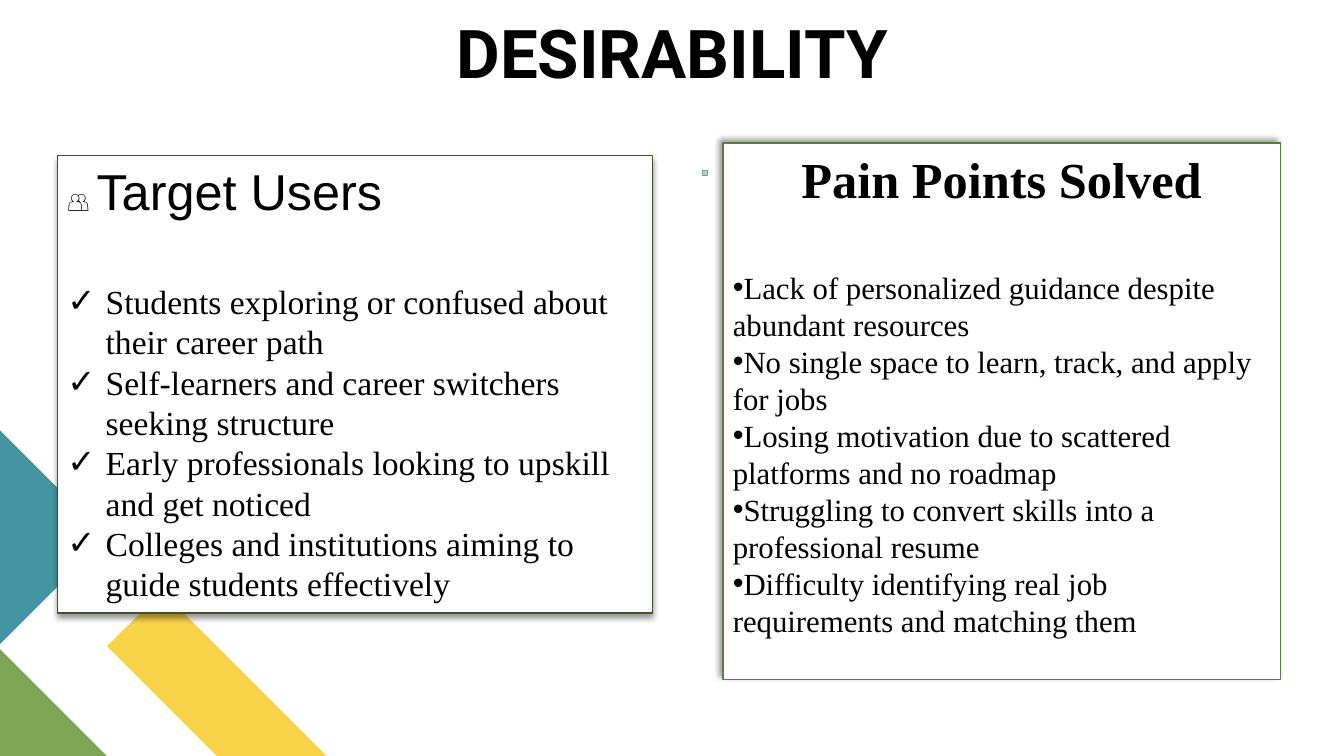
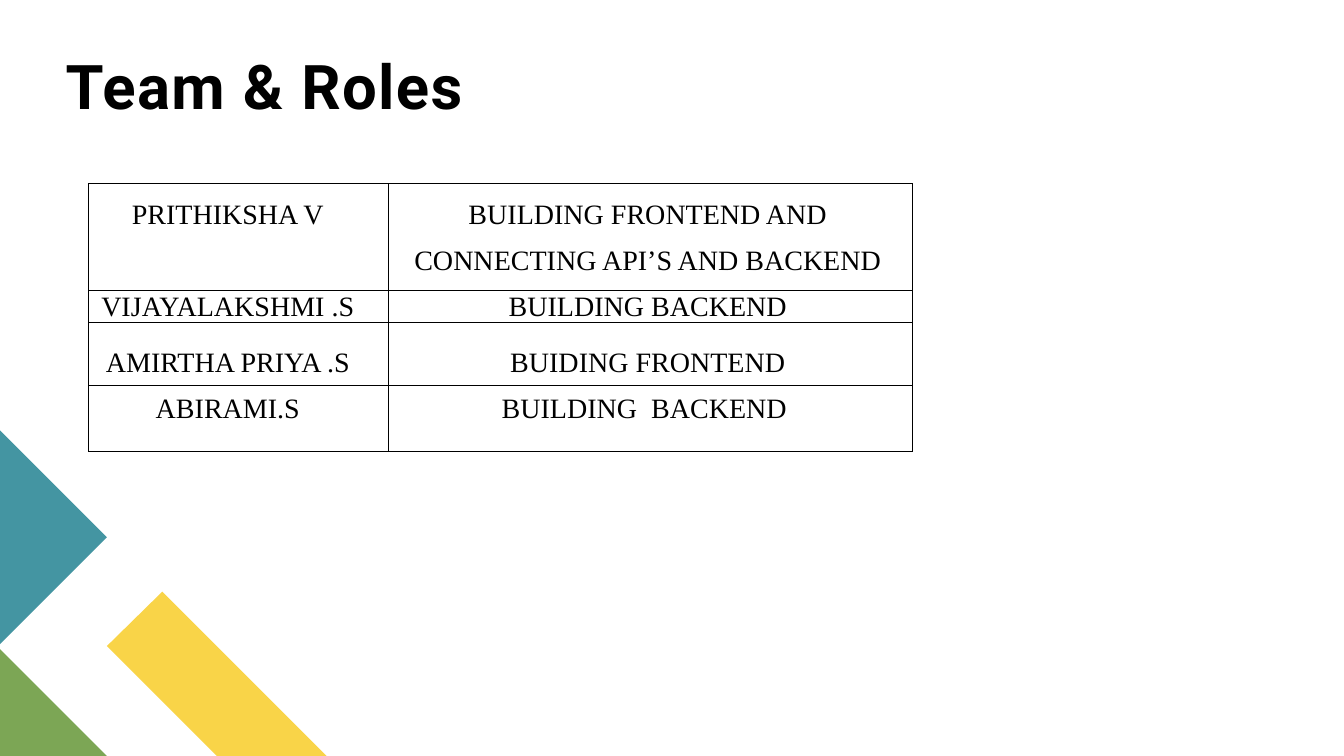
from lxml import etree
from pptx import Presentation
from pptx.dml.color import RGBColor
from pptx.enum.shapes import MSO_SHAPE
from pptx.enum.text import MSO_ANCHOR, PP_ALIGN
from pptx.oxml.ns import qn
from pptx.util import Inches, Pt

LEFT, CENTER = PP_ALIGN.LEFT, PP_ALIGN.CENTER
TOP, MIDDLE, BOTTOM = MSO_ANCHOR.TOP, MSO_ANCHOR.MIDDLE, MSO_ANCHOR.BOTTOM
RECTANGLE = MSO_SHAPE.RECTANGLE

BLACK = RGBColor(0x00, 0x00, 0x00)
WHITE = RGBColor(0xFF, 0xFF, 0xFF)
YELLOW = RGBColor(0xF9, 0xD4, 0x48)
GREEN = RGBColor(0x7C, 0xA6, 0x55)
TEAL = RGBColor(0x44, 0x95, 0xA2)
DARK_GREEN = RGBColor(0x3E, 0x53, 0x2A)
MID_GREEN = RGBColor(0x5D, 0x7D, 0x40)
PALE_TEAL = RGBColor(0xA9, 0xD4, 0xDB)
GREY_TEAL = RGBColor(0x7D, 0x9D, 0xA2)

TITLE_FONT, SANS, SERIF = "Roboto", "Arial", "Times New Roman"

CORNER_SHAPES = [
    (YELLOW, [(3.24, 7.5), (2.15, 7.5), (1.06, 6.41), (1.61, 5.87)]),
    (GREEN, [(1.06, 7.5), (0, 7.5), (0, 6.44)]),
    (TEAL, [(0, 4.27), (1.06, 5.33), (0, 6.39)]),
]


class SlideBuilder:
    """Holds the shared style and the current slide, and draws its elements."""

    def __init__(self):
        self.deck = Presentation()
        self.deck.slide_width, self.deck.slide_height = Inches(13.33), Inches(7.5)
        self.page = None

    def new_page(self):
        self.page = self.deck.slides.add_slide(self.deck.slide_layouts[5])
        for color, points in CORNER_SHAPES:
            corners = [(Inches(x), Inches(y)) for x, y in points]
            builder = self.page.shapes.build_freeform(*corners[0])
            builder.add_line_segments(corners[1:], close=True)
            shape = builder.convert_to_shape()
            shape.shadow.inherit = False
            shape.fill.solid()
            shape.fill.fore_color.rgb = color
            shape.line.fill.background()

    def span(self, para, text, size, font=SERIF, bold=False):
        run = para.add_run()
        run.text = text
        run.font.size, run.font.name, run.font.bold = Pt(size), font, bold
        run.font.color.rgb = BLACK
        return run

    def title(self, text, bounds, size, align, anchor, line_spacing=1.0, tracking=0):
        box = self.page.shapes.title
        box.left, box.top, box.width, box.height = map(Inches, bounds)
        frame = box.text_frame
        frame.margin_left = frame.margin_right = frame.margin_top = frame.margin_bottom = 0
        frame.word_wrap, frame.vertical_anchor = True, anchor
        para = frame.paragraphs[0]
        para.alignment, para.line_spacing = align, line_spacing
        run = self.span(para, text, size, TITLE_FONT, True)
        run.font._element.set("spc", str(tracking * 100))

    def rectangle(self, bounds, fill, line):
        box = self.page.shapes.add_shape(RECTANGLE, *map(Inches, bounds))
        box.shadow.inherit = False
        box.fill.solid()
        box.fill.fore_color.rgb = fill
        box.line.color.rgb = line
        box.line.width = Pt(1)
        return box

    def cast_shadow(self, box, angle):
        effects = box._element.spPr.find(qn("a:effectLst"))
        shadow = etree.SubElement(
            effects, qn("a:outerShdw"), blurRad=str(Pt(4)), dist=str(Pt(3)),
            dir=str(angle * 60000), algn="ctr", rotWithShape="0")
        color = etree.SubElement(shadow, qn("a:srgbClr"), val=str(BLACK))
        etree.SubElement(color, qn("a:alpha"), val="40000")

    def bullet(self, para, mark, indent):
        properties = para._p.get_or_add_pPr()
        properties.set("marL", str(Inches(indent)))
        properties.set("indent", str(-Inches(indent)))
        etree.SubElement(properties, qn("a:buFont"), typeface=SANS)
        etree.SubElement(properties, qn("a:buChar"), char=mark)

    def card(self, bounds, line, angle, heading, align, items, size, mark, indent=0.0):
        box = self.rectangle(bounds, WHITE, line)
        self.cast_shadow(box, angle)
        frame = box.text_frame
        frame.word_wrap, frame.vertical_anchor = True, TOP
        para = frame.paragraphs[0]
        para.alignment, para.space_after = align, Pt(43)
        for span in heading:
            self.span(para, *span)
        for item in items:
            para = frame.add_paragraph()
            para.alignment = LEFT
            self.bullet(para, mark, indent)
            self.span(para, item, size)

    def cell_borders(self, cell):
        properties = cell._tc.get_or_add_tcPr()
        for side in ("lnL", "lnR", "lnT", "lnB"):
            line = etree.SubElement(properties, qn(f"a:{side}"), w=str(Pt(0.75)))
            fill = etree.SubElement(line, qn("a:solidFill"))
            etree.SubElement(fill, qn("a:srgbClr"), val=str(BLACK))

    def table(self, left, top, columns, rows):
        width = sum(column[0] for column in columns)
        height = sum(row[0] for row in rows)
        frame = self.page.shapes.add_table(
            len(rows), len(columns), *map(Inches, (left, top, width, height)))
        table = frame.table
        table.first_row = table.horz_banding = False
        for column, (width, _) in zip(table.columns, columns):
            column.width = Inches(width)
        for row, (height, line_spacing, inset, texts) in zip(table.rows, rows):
            row.height = Inches(height)
            for cell, text, (_, right_margin) in zip(row.cells, texts, columns):
                self.cell_borders(cell)
                cell.fill.solid()
                cell.fill.fore_color.rgb = WHITE
                cell.margin_left, cell.margin_right = Inches(0.07), Inches(right_margin)
                cell.margin_top, cell.margin_bottom = Inches(inset), 0
                para = cell.text_frame.paragraphs[0]
                para.alignment, para.line_spacing = CENTER, line_spacing
                self.span(para, text, 20)


def desirability(builder):
    builder.new_page()
    builder.title("DESIRABILITY", (4.14, 0.06, 5.06, 0.91), 48, CENTER, MIDDLE)
    builder.card(
        (0.57, 1.54, 5.9, 4.54), DARK_GREEN, 90,
        [("👥 ", 18, SANS), ("Target Users", 36, SANS)], LEFT,
        ["Students exploring or confused about their career path",
         "Self-learners and career switchers seeking structure",
         "Early professionals looking to upskill and get noticed",
         "Colleges and institutions aiming to guide students effectively"],
        24, "✓", 0.38)
    builder.card(
        (7.17, 1.42, 5.53, 5.32), MID_GREEN, 225,
        [("Pain Points Solved", 36, SERIF, True)], CENTER,
        ["Lack of personalized guidance despite abundant resources",
         "No single space to learn, track, and apply for jobs",
         "Losing motivation due to scattered platforms and no roadmap",
         "Struggling to convert skills into a professional resume",
         "Difficulty identifying real job requirements and matching them"],
        22, "•")
    builder.rectangle((6.97, 1.69, 0.05, 0.05), PALE_TEAL, GREY_TEAL)


def team_and_roles(builder):
    builder.new_page()
    builder.title("Team & Roles", (0.65, 0.05, 11.89, 1.15), 44, LEFT, BOTTOM, 0.8, 1)
    columns = [(2.97, 0.28), (5.2, 0.12)]
    rows = [
        (1.06, 1.5, 0, ("PRITHIKSHA V", "BUILDING FRONTEND AND CONNECTING API’S AND BACKEND")),
        (0.32, 1.0, 0.01, ("VIJAYALAKSHMI .S", "BUILDING BACKEND")),
        (0.62, 1.5, 0.09, ("AMIRTHA PRIYA .S", "BUIDING FRONTEND")),
        (0.66, 1.0, 0.08, ("ABIRAMI.S", "BUILDING  BACKEND ")),
    ]
    builder.table(0.88, 1.82, columns, rows)


def main():
    builder = SlideBuilder()
    desirability(builder)
    team_and_roles(builder)
    builder.deck.save("out.pptx")


if __name__ == "__main__":
    main()
